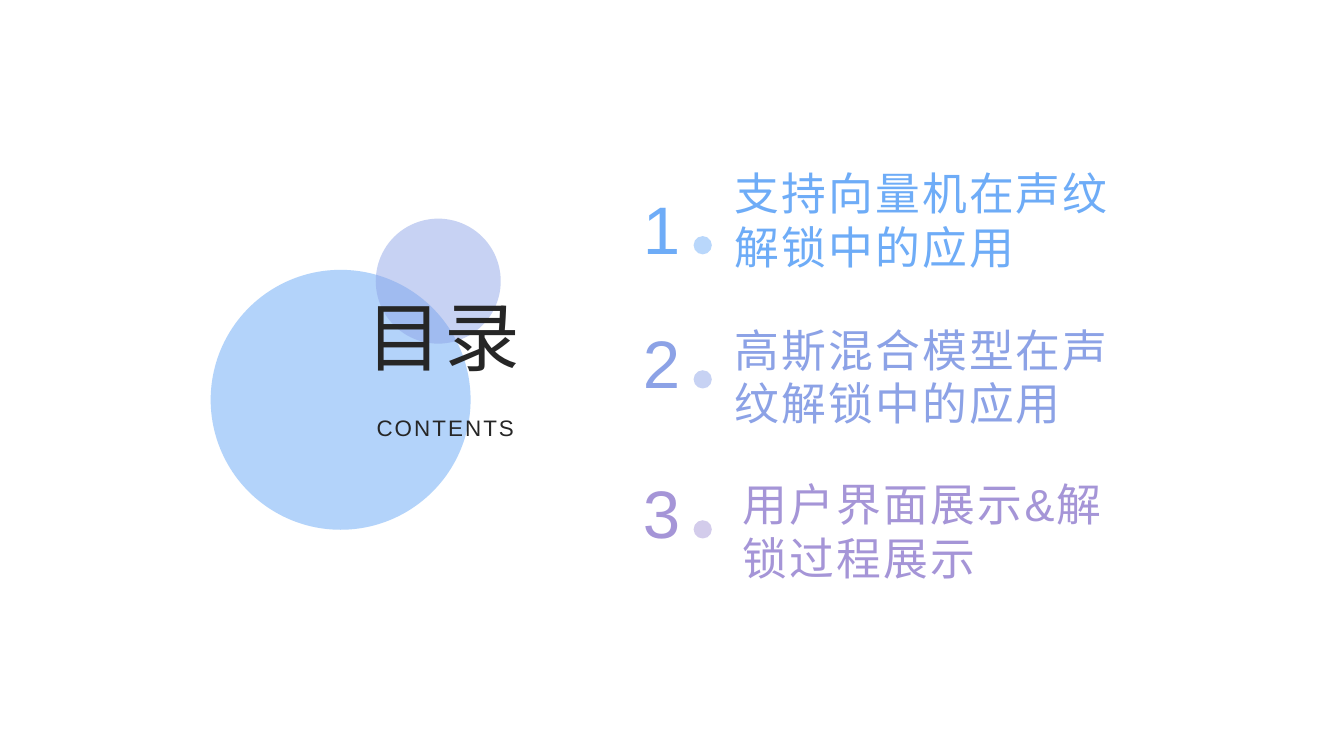
from dataclasses import dataclass

from lxml import etree
from pptx import Presentation
from pptx.dml.color import RGBColor
from pptx.enum.shapes import MSO_SHAPE
from pptx.enum.text import PP_ALIGN
from pptx.oxml.ns import qn
from pptx.slide import Slide
from pptx.util import Cm, Pt

OVAL = MSO_SHAPE.OVAL
LEFT, CENTER = PP_ALIGN.LEFT, PP_ALIGN.CENTER


@dataclass(frozen=True)
class Theme:
    font: str = "Arial"
    blue: str = "6EACF7"
    indigo: str = "8CA2E6"
    violet: str = "A595D7"
    ink: str = "262626"
    heading: int = 54
    number: int = 48
    entry: int = 32
    caption: int = 16
    tracking: float = 1.5


@dataclass(frozen=True)
class Box:
    """Position and size in centimetres."""
    left: float
    top: float
    width: float
    height: float


@dataclass(frozen=True)
class Entry:
    title: str
    color: str
    number_top: float
    title_box: Box


THEME = Theme()
NUMBER_LEFT, NUMBER_WIDTH, NUMBER_HEIGHT = 15.95, 1.47, 2.31
DOT_LEFT, DOT_DROP, DOT_SIZE = 17.48, 1.35, 0.46

ENTRIES = [
    Entry("支持向量机在声纹解锁中的应用", THEME.blue, 4.6, Box(18.26, 4.06, 10.46, 3.35)),
    Entry("高斯混合模型在声纹解锁中的应用", THEME.indigo, 7.98, Box(18.26, 8, 10.46, 3.12)),
    Entry("用户界面展示&解锁过程展示", THEME.violet, 11.76, Box(18.47, 11.89, 10.46, 3.05)),
]


def add_circle(s: Slide, left: float, top: float, size: float, color: str, opacity: int) -> None:
    """Draw a borderless circle; opacity is a percentage."""
    sp = s.shapes.add_shape(OVAL, Cm(left), Cm(top), Cm(size), Cm(size))
    sp.shadow.inherit = False
    sp.line.fill.background()
    sp.fill.solid()
    sp.fill.fore_color.rgb = RGBColor.from_string(color)
    clr = sp._element.spPr.find(qn("a:solidFill")).find(qn("a:srgbClr"))
    etree.SubElement(clr, qn("a:alpha")).set("val", str(opacity * 1000))


def add_text(s: Slide, text: str, box: Box, *, size: int, color: str,
             align: PP_ALIGN = LEFT, tracking: float = 0,
             line_spacing: float | None = None) -> None:
    sp = s.shapes.add_textbox(Cm(box.left), Cm(box.top), Cm(box.width), Cm(box.height))
    tf = sp.text_frame
    tf.word_wrap = True
    p = tf.paragraphs[0]
    p.alignment = align
    p.line_spacing = line_spacing
    r = p.add_run()
    r.text = text
    r.font.name = THEME.font
    r.font.size = Pt(size)
    r.font.color.rgb = RGBColor.from_string(color)
    if tracking:
        r._r.get_or_add_rPr().set("spc", str(round(tracking * 100)))


def add_heading(s: Slide) -> None:
    add_circle(s, 5.31, 6.8, 6.55, THEME.blue, 52)
    add_circle(s, 9.47, 5.51, 3.15, THEME.indigo, 48)
    add_text(s, "CONTENTS", Box(8.48, 10.31, 5.49, 0.94), size=THEME.caption,
             color=THEME.ink, align=CENTER, tracking=THEME.tracking)
    add_text(s, "目录", Box(8.51, 7.44, 5.31, 2.57), size=THEME.heading,
             color=THEME.ink, align=CENTER, tracking=THEME.tracking, line_spacing=0.9)


def add_entry(s: Slide, number: int, entry: Entry) -> None:
    number_box = Box(NUMBER_LEFT, entry.number_top, NUMBER_WIDTH, NUMBER_HEIGHT)
    add_text(s, str(number), number_box, size=THEME.number, color=entry.color)
    add_text(s, entry.title, entry.title_box, size=THEME.entry, color=entry.color,
             tracking=THEME.tracking)
    add_circle(s, DOT_LEFT, entry.number_top + DOT_DROP, DOT_SIZE, entry.color, 48)


def main() -> None:
    prs = Presentation()
    prs.slide_width, prs.slide_height = Cm(33.87), Cm(19.05)
    s = prs.slides.add_slide(prs.slide_layouts[6])
    add_heading(s)
    for number, entry in enumerate(ENTRIES, start=1):
        add_entry(s, number, entry)
    prs.save("out.pptx")


if __name__ == "__main__":
    main()
